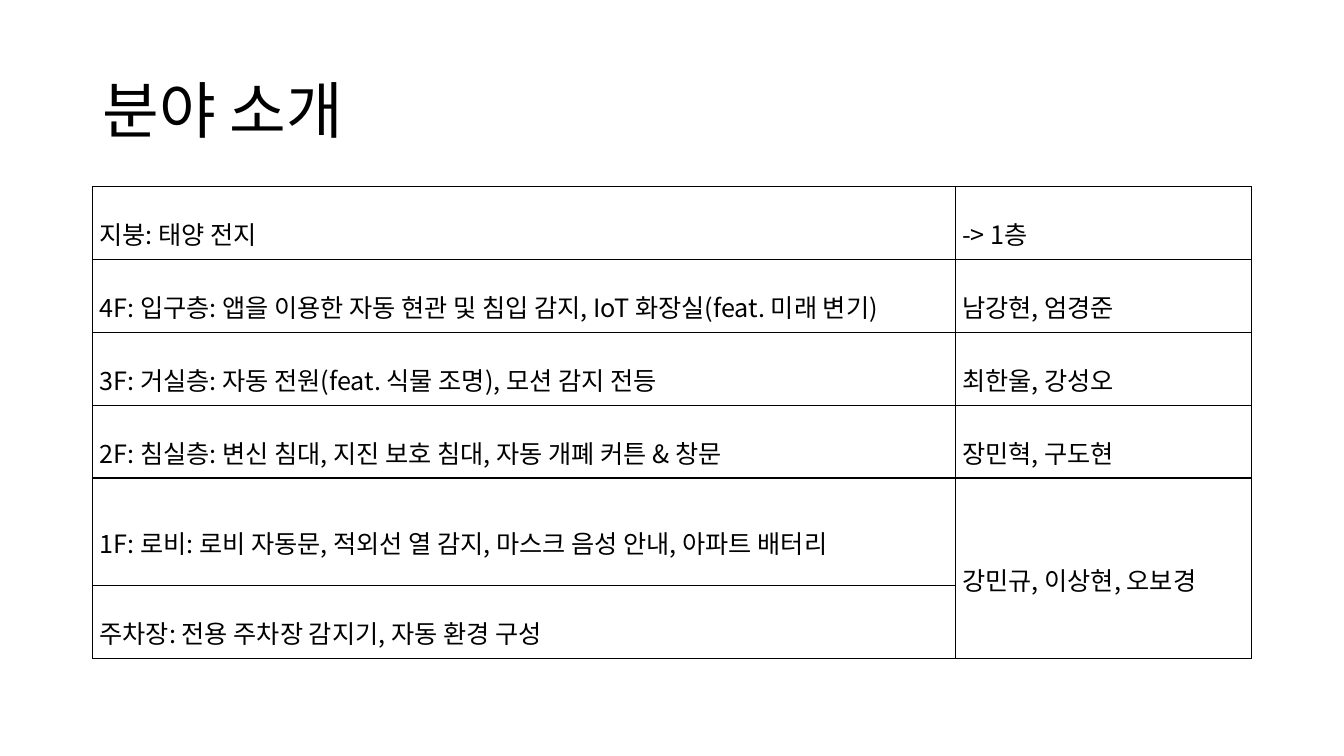
from lxml.etree import SubElement
from pptx import Presentation
from pptx.dml.color import RGBColor
from pptx.enum.text import MSO_ANCHOR as Anchor, PP_ALIGN as Align
from pptx.oxml.ns import qn
from pptx.util import Pt

BLACK = RGBColor(0, 0, 0)
FONT = "Noto Sans CJK KR"
LEFT, WIDTH = 66, 828
TABLE_TOP = 133.2
COLUMN_WIDTHS = (616.3, 211.7)
FLOOR_HEIGHT, LOBBY_HEIGHT = 52.1, 76.6
LOBBY_ROW = 4

FLOORS = (
    ("지붕: 태양 전지", "-> 1층"),
    ("4F: 입구층: 앱을 이용한 자동 현관 및 침입 감지, IoT 화장실(feat. 미래 변기)", "남강현, 엄경준"),
    ("3F: 거실층: 자동 전원(feat. 식물 조명), 모션 감지 전등", "최한울, 강성오"),
    ("2F: 침실층: 변신 침대, 지진 보호 침대, 자동 개폐 커튼 & 창문", "장민혁, 구도현"),
    ("1F: 로비: 로비 자동문, 적외선 열 감지, 마스크 음성 안내, 아파트 배터리", "강민규, 이상현, 오보경"),
    ("주차장: 전용 주차장 감지기, 자동 환경 구성", None),
)


def write_text(frame, text, size, align, line_spacing):
    paragraph = frame.paragraphs[0]
    paragraph.alignment = align
    paragraph.line_spacing = line_spacing
    run = paragraph.add_run()
    run.text = text
    run.font.size = Pt(size)
    run.font.name = FONT
    run.font.color.rgb = BLACK
    SubElement(run.font._element, qn("a:ea"), typeface=FONT)


def add_borders(cell):
    properties = cell._tc.get_or_add_tcPr()
    for side in ("a:lnL", "a:lnR", "a:lnT", "a:lnB"):
        border = SubElement(properties, qn(side), w=str(Pt(1)))
        fill = SubElement(border, qn("a:solidFill"))
        SubElement(fill, qn("a:srgbClr"), val=str(BLACK))


def format_cell(cell):
    cell.margin_left = cell.margin_right = Pt(5.1)
    cell.margin_top = cell.margin_bottom = Pt(1.4)
    cell.vertical_anchor = Anchor.MIDDLE
    add_borders(cell)
    cell.fill.background()


def add_title(slide, text):
    title = slide.shapes.title
    title.left, title.top = Pt(LEFT), Pt(28.75)
    title.width, title.height = Pt(WIDTH), Pt(104.4)
    title.text_frame.vertical_anchor = Anchor.MIDDLE
    write_text(title.text_frame, text, size=44, align=Align.LEFT, line_spacing=0.9)


def add_floor_table(slide):
    heights = [FLOOR_HEIGHT] * len(FLOORS)
    heights[LOBBY_ROW] = LOBBY_HEIGHT
    table = slide.shapes.add_table(
        len(FLOORS), len(COLUMN_WIDTHS),
        Pt(LEFT), Pt(TABLE_TOP), Pt(WIDTH), Pt(sum(heights)),
    ).table
    table.first_row = table.horz_banding = False
    for column, width in zip(table.columns, COLUMN_WIDTHS):
        column.width = Pt(width)
    for row, height, entries in zip(table.rows, heights, FLOORS):
        row.height = Pt(height)
        for cell, text in zip(row.cells, entries):
            format_cell(cell)
            if text:
                write_text(cell.text_frame, text, size=18,
                           align=Align.JUSTIFY, line_spacing=1.6)
    table.cell(LOBBY_ROW, 1).merge(table.cell(LOBBY_ROW + 1, 1))


def main():
    deck = Presentation()
    deck.slide_width, deck.slide_height = Pt(960), Pt(540)
    slide = deck.slides.add_slide(deck.slide_layouts[5])
    add_title(slide, "분야 소개")
    add_floor_table(slide)
    deck.save("out.pptx")


if __name__ == "__main__":
    main()
